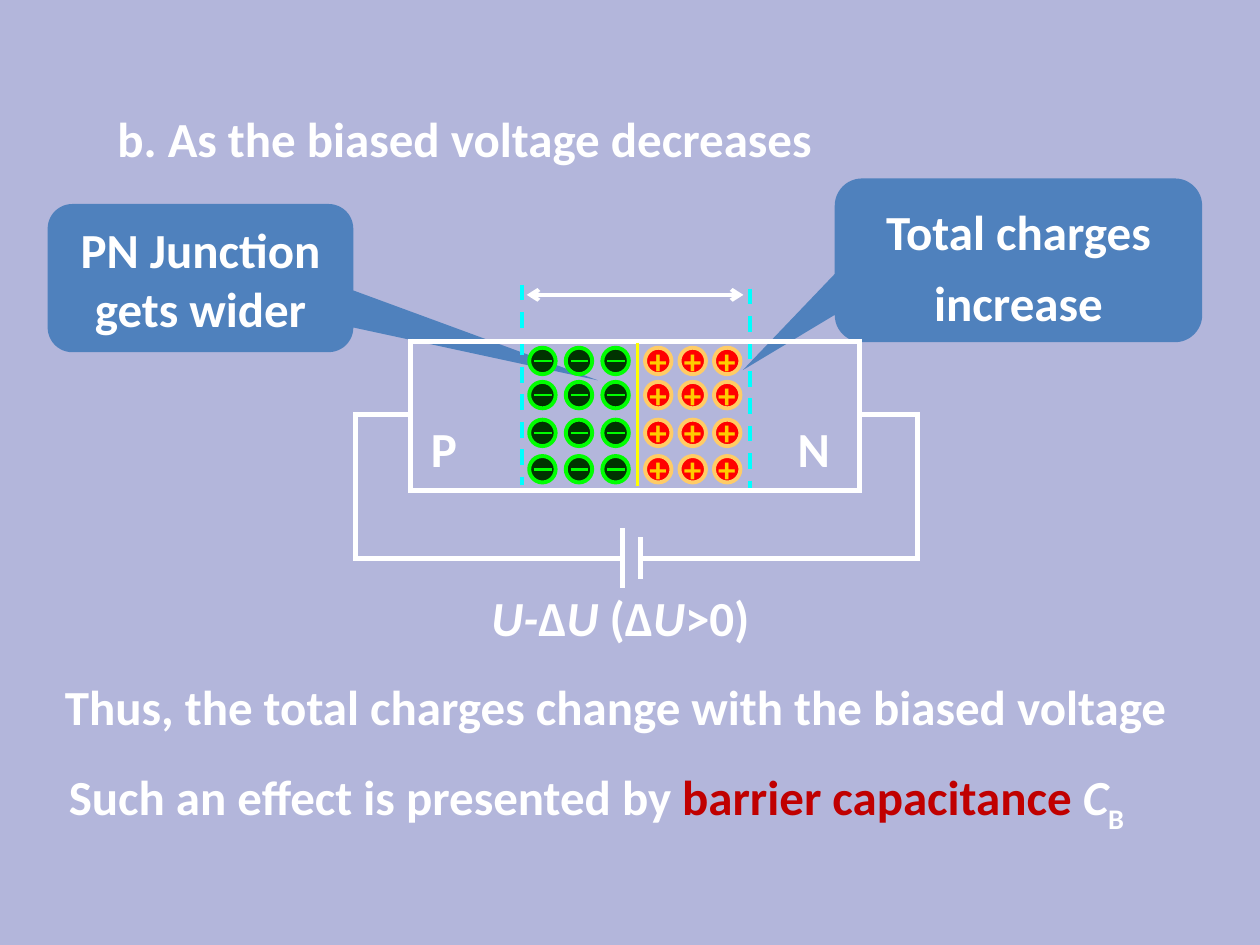
import dataclasses

import pptx
import pptx.dml.color
import pptx.enum.dml
import pptx.enum.shapes
import pptx.enum.text
import pptx.oxml
import pptx.oxml.ns
import pptx.util

Pt = pptx.util.Pt
SHAPE = pptx.enum.shapes.MSO_SHAPE
ALIGN = pptx.enum.text.PP_ALIGN
ANCHOR = pptx.enum.text.MSO_ANCHOR
DASH = pptx.enum.dml.MSO_LINE.DASH


@dataclasses.dataclass(frozen=True)
class Theme:
    """Colours and sizes of the slide."""
    font: str = "Calibri"
    back: str = "B3B6DB"
    text: str = "FFFFFF"
    accent: str = "C00000"
    callout: str = "4F81BD"
    border: str = "00FFFF"
    junction: str = "FFFF00"
    neg_fill: str = "003300"
    neg_line: str = "00FF00"
    pos_fill: str = "FF0000"
    pos_line: str = "FFCC66"
    pos_sign: str = "FFCC00"
    body: int = 28
    sign: int = 20
    wire: float = 2.88
    thin: float = 2.25
    minus: float = 1.5


T = Theme()


def rgb(value):
    """Return a colour from its hex value."""
    return pptx.dml.color.RGBColor.from_string(value)


def apply(obj, values):
    """Set each attribute of an object from a dict."""
    for name, value in values.items():
        setattr(obj, name, value)


def write(tf, runs, align=ALIGN.LEFT, spacing=None, size=T.body):
    """Fill a text frame with one paragraph of (text, format) runs."""
    p = tf.paragraphs[0]
    apply(p, {"alignment": align, "line_spacing": spacing})
    for text, values in runs:
        r = p.add_run()
        r.text = text
        apply(r.font, {"name": T.font, "size": Pt(size), "bold": True,
                       "italic": values.get("italic", False)})
        r.font.color.rgb = rgb(values.get("color", T.text))
        if "baseline" in values:
            r._r.get_or_add_rPr().set("baseline", str(values["baseline"]))


def add_text(shapes, box, runs, inset=True, wrap=True, **style):
    """Add a text box."""
    tf = shapes.add_textbox(*map(Pt, box)).text_frame
    tf.word_wrap = wrap
    if not inset:
        sides = ("left", "top", "right", "bottom")
        apply(tf, {f"margin_{side}": 0 for side in sides})
    write(tf, runs, **style)


def add_line(shapes, ends, color=T.text, width=T.wire, dash=None, arrows=False):
    """Add a straight line between two points."""
    kind = pptx.enum.shapes.MSO_CONNECTOR.STRAIGHT
    c = shapes.add_connector(kind, *map(Pt, ends))
    c.line.color.rgb = rgb(color)
    apply(c.line, {"width": Pt(width), "dash_style": dash})
    ns = pptx.oxml.ns.nsdecls("a")
    for tag in ("headEnd", "tailEnd") if arrows else ():
        c.line._get_or_add_ln().append(
            pptx.oxml.parse_xml(f'<a:{tag} {ns} type="arrow"/>'))
    c._element.spPr.append(pptx.oxml.parse_xml(f"<a:effectLst {ns}/>"))


def add_callout(shapes, box, tip, text, spacing=None):
    """Add a rounded callout pointing at a tip given as fractions of its box."""
    sp = shapes.add_shape(SHAPE.ROUNDED_RECTANGULAR_CALLOUT, *map(Pt, box))
    sp.adjustments[0], sp.adjustments[1] = tip
    sp.shadow.inherit = False
    sp.fill.solid()
    sp.fill.fore_color.rgb = rgb(T.callout)
    sp.line.fill.background()
    apply(sp.text_frame, {"word_wrap": True, "vertical_anchor": ANCHOR.MIDDLE})
    write(sp.text_frame, [(text, {})], ALIGN.CENTER, spacing)


def add_charge(shapes, x, y, positive):
    """Add one charge, a circle with its sign."""
    size = 15.1
    sp = shapes.add_shape(SHAPE.OVAL, Pt(x), Pt(y), Pt(size), Pt(size))
    sp.shadow.inherit = False
    sp.fill.solid()
    sp.fill.fore_color.rgb = rgb(T.pos_fill if positive else T.neg_fill)
    sp.line.color.rgb = rgb(T.pos_line if positive else T.neg_line)
    sp.line.width = Pt(T.thin)
    if positive:
        add_text(shapes, (x - 5.6, y - 8.5, 26, 31), [("+", {"color": T.pos_sign})],
                 wrap=False, align=ALIGN.CENTER, size=T.sign)
    else:
        mid = y + size / 2
        add_line(shapes, (x + 2.9, mid, x + 12.9, mid), T.neg_line, T.minus)


def add_circuit(shapes, x, y):
    """Add the biased junction with its battery, from a top left corner."""
    g = shapes.add_group_shape().shapes

    def line(x1, y1, x2, y2, **style):
        """Add a line relative to the corner."""
        add_line(g, (x + x1, y + y1, x + x2, y + y2), **style)

    add_text(g, (x + 80.8, y + 175.5, 175.7, 34),
             [("U-", {"italic": True}), ("Δ", {}), ("U ", {"italic": True}),
              ("(Δ", {}), ("U", {"italic": True}), (">0)", {})], inset=False)
    line(224.8, 8.5, 101, 8.5, width=T.thin, arrows=True)
    line(98.1, 2.7, 98.1, 117.2, color=T.border, width=T.thin, dash=DASH)
    line(228.4, 4.9, 228.4, 120.8, color=T.border, width=T.thin, dash=DASH)
    for name, left, width in (("P", 46.2, 15), ("N", 255.8, 21)):
        add_text(g, (x + left, y + 79, width, 33), [(name, {})],
                 inset=False, wrap=False)
    left, right, top, bottom = 34.7, 291, 35.1, 120.1
    for edge in (left, right):
        line(edge, top - 1.4, edge, bottom + 1.4)
    for edge in (top, bottom):
        line(left - 1.4, edge, right + 0.8, edge)
    for outer, inner, plate, half in ((3, left, 155.7, 17), (324.2, right, 165.8, 12)):
        line(outer, 76.9, inner, 76.9)
        line(outer, 75.4, outer, 160.4)
        line(outer, 159, plate, 159)
        line(plate, 159 - half, plate, 159 + half)
    line(164.3, 35.8, 164.3, 117.9, color=T.junction, width=T.thin)
    for start, pitch, positive in ((102.4, 20.9, False), (168.6, 19.7, True)):
        for column in range(3):
            for row in (38.7, 58.2, 79.8, 100.6):
                add_charge(g, x + start + column * pitch, y + row, positive)


def build_slide(prs):
    """Build the barrier capacitance slide."""
    s = prs.slides.add_slide(prs.slide_layouts[6])
    s.background.fill.solid()
    s.background.fill.fore_color.rgb = rgb(T.back)
    add_callout(s.shapes, (27.2, 116.6, 174.7, 84.7), (1.3, 0.69),
                "PN Junction gets wider")
    add_callout(s.shapes, (477, 102, 210, 93.6), (-0.75, 0.67),
                "Total charges increase", spacing=1.2)
    add_text(s.shapes, (60, 58.3, 424, 73.4),
             [("b. As the biased voltage decreases", {})])
    add_text(s.shapes, (30, 383, 674, 73.4),
             [("Thus, the total charges change with the biased voltage", {})])
    add_text(s.shapes, (32.2, 434.2, 639.4, 81.4),
             [("Such an effect is presented by ", {}),
              ("barrier capacitance ", {"color": T.accent}),
              ("C", {"italic": True}), ("B", {"baseline": -30000})])
    add_circuit(s.shapes, 200, 160)


def main():
    """Create and save the presentation."""
    prs = pptx.Presentation()
    apply(prs, {"slide_width": Pt(720), "slide_height": Pt(540)})
    build_slide(prs)
    prs.save("out.pptx")


if __name__ == "__main__":
    main()
